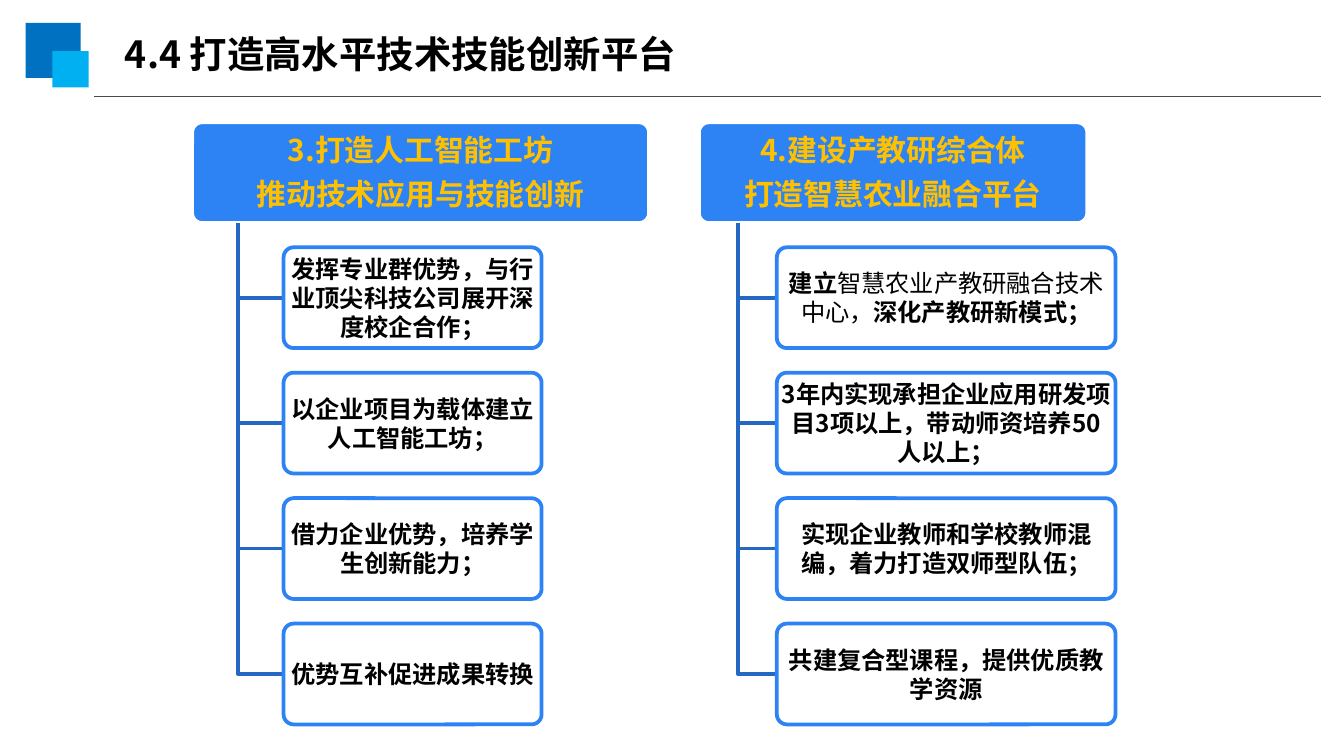
from dataclasses import dataclass

from lxml import etree
from pptx import Presentation
from pptx import util as u
from pptx.dml.color import RGBColor
from pptx.enum import shapes as kinds, text as t
from pptx.oxml import ns

FONT = "Noto Sans CJK SC"
BLUE, TRUNK_BLUE, GOLD = "2D82F4", "2468C3", "FFC000"
BLACK, WHITE = "000000", "FFFFFF"
SLIDE_WIDTH = u.Inches(10)
BOX_HEIGHT = 0.75
HEADING_TOP = 0.91
FIRST_TOP, LAST_TOP = 1.84, 4.64  # first and last row of measures


@dataclass(frozen=True)
class Run:
    text: str
    bold: bool = True


@dataclass(frozen=True)
class Branch:
    left: float
    width: float
    trunk_x: float
    measure_left: float
    measure_width: float
    heading: tuple[str, ...]
    measures: tuple[tuple[Run, ...], ...]


BRANCHES = (
    Branch(1.43, 3.4, 1.77, 2.11, 1.92,
           ("3.打造人工智能工坊", "推动技术应用与技能创新"),
           ((Run("发挥专业群优势，与行业顶尖科技公司展开深度校企合作；"),),
            (Run("以企业项目为载体建立人工智能工坊；"),),
            (Run("借力企业优势，培养学生创新能力；"),),
            (Run("优势互补促进成果转换"),))),
    Branch(5.2, 2.89, 5.49, 5.78, 2.52,
           ("4.建设产教研综合体", "打造智慧农业融合平台"),
           ((Run("建立"), Run("智慧农业产教研融合技术中心，", False),
             Run("深化产教研新模式；")),
            (Run("3年内实现承担企业应用研发项目3项以上，带动师资培养50人以上；"),),
            (Run("实现企业教师和学校教师混编，着力打造双师型队伍；"),),
            (Run("共建复合型课程，提供优质教学资源"),))),
)


def rgb(value: str) -> RGBColor:
    return RGBColor.from_string(value)


def apply(target, values: dict) -> None:
    for name, value in values.items():
        setattr(target, name, value)


def write(frame, paragraphs, size: float, color: str, paragraph_format: dict,
          inset: float = 0.01) -> None:
    """Fill a text frame with paragraphs, each a sequence of runs."""
    margin = u.Inches(inset)
    apply(frame, {"word_wrap": True, "vertical_anchor": t.MSO_ANCHOR.MIDDLE,
                  "margin_left": margin, "margin_right": margin,
                  "margin_top": u.Inches(0.02), "margin_bottom": u.Inches(0.02)})
    for index, runs in enumerate(paragraphs):
        paragraph = frame.add_paragraph() if index else frame.paragraphs[0]
        apply(paragraph, paragraph_format)
        # Keep punctuation inside the box
        paragraph._p.get_or_add_pPr().set("hangingPunct", "0")
        for part in runs:
            run = paragraph.add_run()
            run.text = part.text
            apply(run.font, {"name": FONT, "size": u.Pt(size), "bold": part.bold})
            run.font.color.rgb = rgb(color)
            east_asian = etree.SubElement(run.font._element, ns.qn("a:ea"))
            east_asian.set("typeface", FONT)


def add_box(slide, kind, left: float, top: float, width: float, height: float,
            fill: str, line: str | None = None):
    box = slide.shapes.add_shape(kind, *map(u.Inches, (left, top, width, height)))
    box.shadow.inherit = False
    box.fill.solid()
    box.fill.fore_color.rgb = rgb(fill)
    if line:
        box.line.color.rgb = rgb(line)
        box.line.width = u.Pt(2)
    else:
        box.line.fill.background()
    return box


def add_rounded(slide, left: float, top: float, width: float, fill: str, line: str):
    box = add_box(slide, kinds.MSO_SHAPE.ROUNDED_RECTANGLE,
                  left, top, width, BOX_HEIGHT, fill, line)
    box.adjustments[0] = 0.1
    return box


def add_elbow(slide, x: float, top: float, end_x: float, end_y: float) -> None:
    builder = slide.shapes.build_freeform(u.Inches(x), u.Inches(top))
    builder.add_line_segments([(u.Inches(x), u.Inches(end_y)),
                               (u.Inches(end_x), u.Inches(end_y))], close=False)
    elbow = builder.convert_to_shape()
    elbow.shadow.inherit = False
    elbow.fill.background()
    elbow.line.color.rgb = rgb(TRUNK_BLUE)
    elbow.line.width = u.Pt(2)


def add_branch(slide, branch: Branch) -> None:
    heading = add_rounded(slide, branch.left, HEADING_TOP, branch.width, BLUE, WHITE)
    write(heading.text_frame, [[Run(line)] for line in branch.heading], 16, GOLD,
          {"alignment": t.PP_ALIGN.CENTER, "line_spacing": u.Pt(18),
           "space_after": u.Pt(5.6)})
    step = (LAST_TOP - FIRST_TOP) / (len(branch.measures) - 1)
    for row, runs in enumerate(branch.measures):
        top = FIRST_TOP + row * step
        add_elbow(slide, branch.trunk_x, HEADING_TOP + BOX_HEIGHT,
                  branch.measure_left, top + BOX_HEIGHT / 2)
        measure = add_rounded(slide, branch.measure_left, top,
                              branch.measure_width, WHITE, BLUE)
        # Slightly transparent white fill
        color = measure.fill._xPr.find(ns.qn("a:solidFill"))[0]
        etree.SubElement(color, ns.qn("a:alpha")).set("val", "90000")
        write(measure.text_frame, [runs], 13, BLACK,
              {"alignment": t.PP_ALIGN.CENTER})


def add_title(slide) -> None:
    # Corner squares and rule
    square = kinds.MSO_SHAPE.RECTANGLE
    add_box(slide, square, 0.19, 0.17, 0.41, 0.41, "0070C0")
    add_box(slide, square, 0.39, 0.38, 0.27, 0.27, "00B0F0")
    rule = slide.shapes.add_connector(
        kinds.MSO_CONNECTOR.STRAIGHT, *map(u.Inches, (9.83, 0.72, 0.7, 0.72)))
    rule.line.color.rgb = rgb("4D4948")
    rule.line.width = u.Pt(0.75)
    etree.SubElement(rule._element.spPr, ns.qn("a:effectLst"))

    title = slide.shapes.title
    apply(title, {"left": u.Inches(0.83), "top": u.Inches(0.18),
                  "width": u.Inches(5.53), "height": u.Inches(0.44)})
    write(title.text_frame, [[Run("4.4 打造高水平技术技能创新平台")]], 20, BLACK,
          {"alignment": t.PP_ALIGN.LEFT}, inset=0.1)
    title.text_frame.auto_size = t.MSO_AUTO_SIZE.NONE


def main() -> None:
    deck = Presentation()
    apply(deck, {"slide_width": SLIDE_WIDTH, "slide_height": SLIDE_WIDTH * 9 // 16})
    slide = deck.slides.add_slide(deck.slide_layouts[5])
    add_title(slide)
    for branch in BRANCHES:
        add_branch(slide, branch)
    deck.save("out.pptx")


if __name__ == "__main__":
    main()
